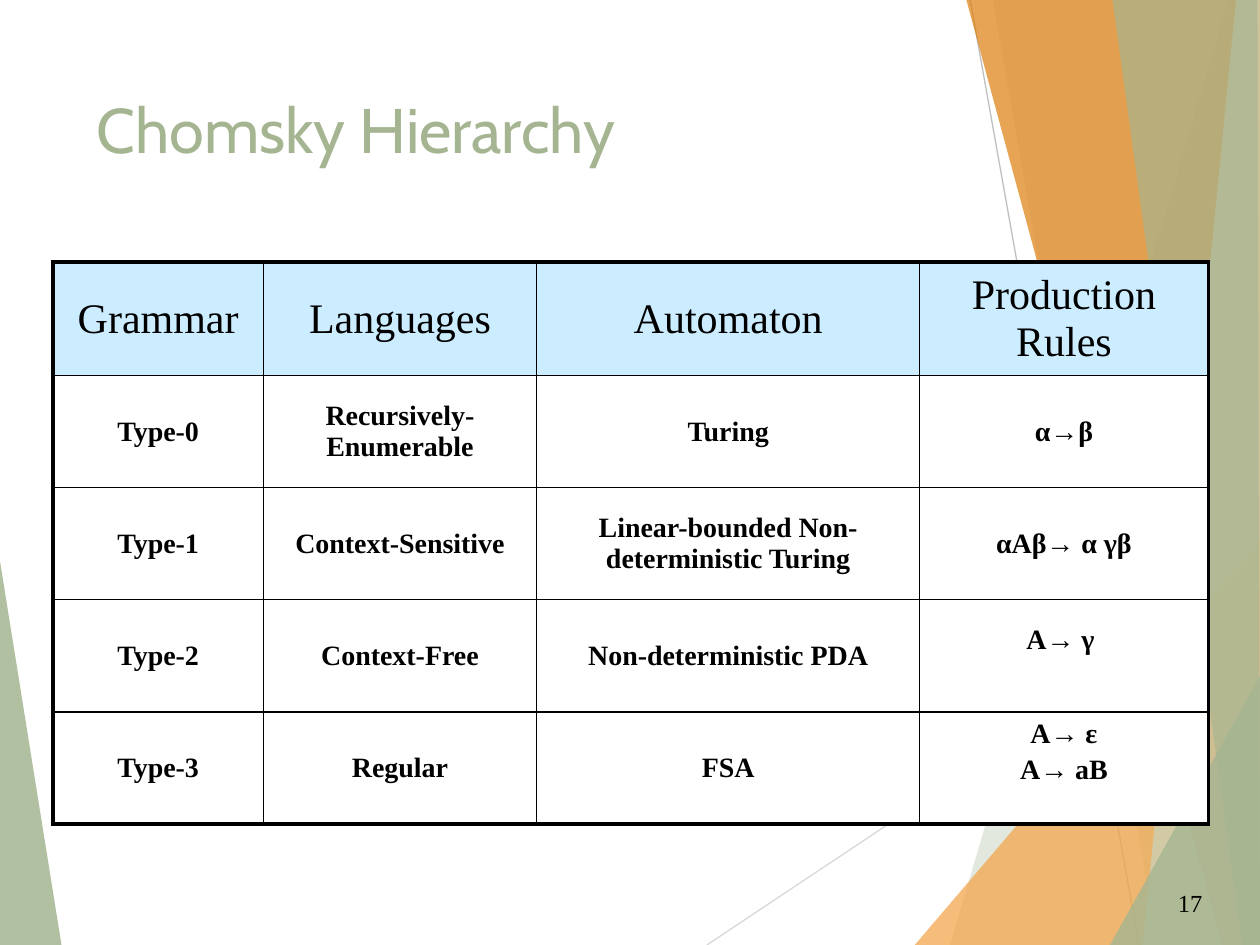
from lxml.etree import SubElement
from pptx import Presentation
from pptx.dml.color import RGBColor
from pptx.enum.shapes import MSO_CONNECTOR as Connector
from pptx.enum.text import MSO_ANCHOR as Anchor, PP_ALIGN as Align
from pptx.oxml.ns import qn
from pptx.util import Inches, Pt

COLORS = {
    "sage": "A5B592", "pale_sage": "C9D3BE", "amber": "F3A447",
    "orange": "DD7E0E", "light_gray": "D9D9D9", "gray": "BFBFBF",
    "ink": "000000", "header": "CCECFF", "white": "FFFFFF",
}
SERIF = "Times New Roman"
TITLE_FONT = {"name": "Cabin", "size": Pt(36)}
NUMBER_FONT = {"name": SERIF, "size": Pt(14)}
HEADER_FONT = {"name": SERIF, "size": Pt(24), "bold": False}
BODY_FONT = {"name": SERIF, "size": Pt(16), "bold": True}
RAISED = {"margin_top": 0, "margin_bottom": Inches(0.25)}

LEFT_WEDGE = ([(0, 0), (0.5, 3.12), (0, 3.11)], "sage", 85)
RAYS = [((5.61, 7.5), (10.01, 4.57), "light_gray"),
        ((7.7, 0), (9.04, 7.5), "gray")]
SHARDS = [
    ([(9.75, 0), (7.54, 7.5), (10.02, 7.51), (10.01, 0.01)], "sage", 30),
    ([(7.88, 0), (9.19, 7.5), (10.01, 7.5), (10.01, 0)], "sage", 20),
    ([(7.26, 7.5), (10, 4.29), (10.01, 7.5)], "amber", 72),
    ([(7.67, 0), (9.7, 7.5), (10.01, 7.5), (10.01, 0)], "orange", 70),
    ([(9.81, 0), (9.07, 7.5), (10.01, 7.5), (10, 0)], "pale_sage", 70),
    ([(8.83, 0), (9.86, 7.5), (10, 7.5), (9.98, 0)], "sage", 65),
    ([(8.81, 7.5), (10.01, 5.35), (10.01, 7.5)], "sage", 80),
]
COLUMNS = [1.67, 2.17, 3.04, 2.29]
ROWS = [
    ["Grammar", "Languages", "Automaton", "Production Rules"],
    ["Type-0", "Recursively-Enumerable", "Turing", "α→β"],
    ["Type-1", "Context-Sensitive", "Linear-bounded Non-deterministic Turing",
     "αAβ→ α γβ"],
    ["Type-2", "Context-Free", "Non-deterministic PDA", "A→ γ "],
    ["Type-3", "Regular", "FSA", "A→ ε\nA→ aB"],
]


def rgb(name):
    """Return the named colour."""
    return RGBColor.from_string(COLORS[name])


def apply_format(target, values):
    """Set each attribute in the dict on the target."""
    for name, value in values.items():
        setattr(target, name, value)


def write_text(frame, text, font, color="ink", **layout):
    """Fill a text frame with one paragraph for each line of text."""
    frame.text = text
    for para in frame.paragraphs:
        apply_format(para, layout)
        for span in para.runs:
            apply_format(span.font, font)
            span.font.color.rgb = rgb(color)


def add_text(page, box, text, font, color="ink"):
    """Place a wrapping text box in the given box."""
    frame = page.shapes.add_textbox(*map(Inches, box)).text_frame
    apply_format(frame, {"word_wrap": True, "vertical_anchor": Anchor.TOP})
    write_text(frame, text, font, color)


def add_shard(page, origin, points, color, opacity):
    """Draw a translucent polygon relative to its origin."""
    left, top = origin
    corners = [(Inches(left + x), Inches(top + y)) for x, y in points]
    builder = page.shapes.build_freeform(*corners[0], scale=1.0)
    builder.add_line_segments(corners[1:], close=True)
    shard = builder.convert_to_shape()
    shard.shadow.inherit = False
    shard.fill.solid()
    shard.fill.fore_color.rgb = rgb(color)
    shard.line.fill.background()
    paint = shard.fill._xPr.find(qn("a:solidFill"))[0]
    SubElement(paint, qn("a:alpha"), val=str(opacity * 1000))


def add_ray(page, origin, start, end, color):
    """Draw a thin line relative to its origin."""
    left, top = origin
    ends = [Inches(value) for x, y in (start, end)
            for value in (left + x, top + y)]
    ray = page.shapes.add_connector(Connector.STRAIGHT, *ends)
    apply_format(ray.line, {"width": Pt(0.75)})
    ray.line.color.rgb = rgb(color)
    SubElement(ray._element.spPr, qn("a:effectLst"))


def add_backdrop(page, origin):
    """Draw the wedge, the rays and the overlapping shards."""
    left, top = origin
    add_shard(page, (left - 0.01, top + 4.39), *LEFT_WEDGE)
    for ray in RAYS:
        add_ray(page, origin, *ray)
    for shard in SHARDS:
        add_shard(page, origin, *shard)


def add_borders(cell, outer_sides):
    """Outline a cell, with thicker lines on the outer sides."""
    properties = cell._tc.get_or_add_tcPr()
    for side in "LRTB":
        width = Pt(2.25 if side in outer_sides else 1)
        line = SubElement(properties, qn(f"a:ln{side}"), w=str(width))
        paint = SubElement(line, qn("a:solidFill"))
        SubElement(paint, qn("a:srgbClr"), val=COLORS["ink"])


def add_hierarchy_table(page, box):
    """Build the grammar table in the given box."""
    last_row, last_column = len(ROWS) - 1, len(COLUMNS) - 1
    table = page.shapes.add_table(
        len(ROWS), len(COLUMNS), *map(Inches, box)).table
    for column, width in zip(table.columns, COLUMNS):
        column.width = Inches(width)
    for r, texts in enumerate(ROWS):
        table.rows[r].height = Inches(box[3] / len(ROWS))
        font = BODY_FONT if r else HEADER_FONT
        for c, text in enumerate(texts):
            cell = table.cell(r, c)
            edges = {"L": c == 0, "R": c == last_column,
                     "T": r == 0, "B": r == last_row}
            add_borders(cell, [side for side in edges if edges[side]])
            cell.fill.solid()
            cell.fill.fore_color.rgb = rgb("white" if r else "header")
            cell.vertical_anchor = Anchor.MIDDLE
            if c == last_column and r >= last_row - 1:
                apply_format(cell, RAISED)
            write_text(cell.text_frame, text, font, alignment=Align.CENTER,
                       space_before=Pt(font["size"].pt * 0.2))


def build_slide(deck):
    """Add the Chomsky hierarchy slide."""
    page = deck.slides.add_slide(deck.slide_layouts[6])
    add_backdrop(page, (0, 0))
    add_text(page, (9.25, 7, 0.5, 0.33), "17", NUMBER_FONT)
    add_text(page, (0.67, 0.67, 6.94, 1.44), "Chomsky Hierarchy",
             TITLE_FONT, "sage")
    add_hierarchy_table(page, (0.42, 2.08, 9.17, 4.45))


deck = Presentation()
apply_format(deck, {"slide_width": Inches(10), "slide_height": Inches(7.5)})
build_slide(deck)
deck.save("out.pptx")
